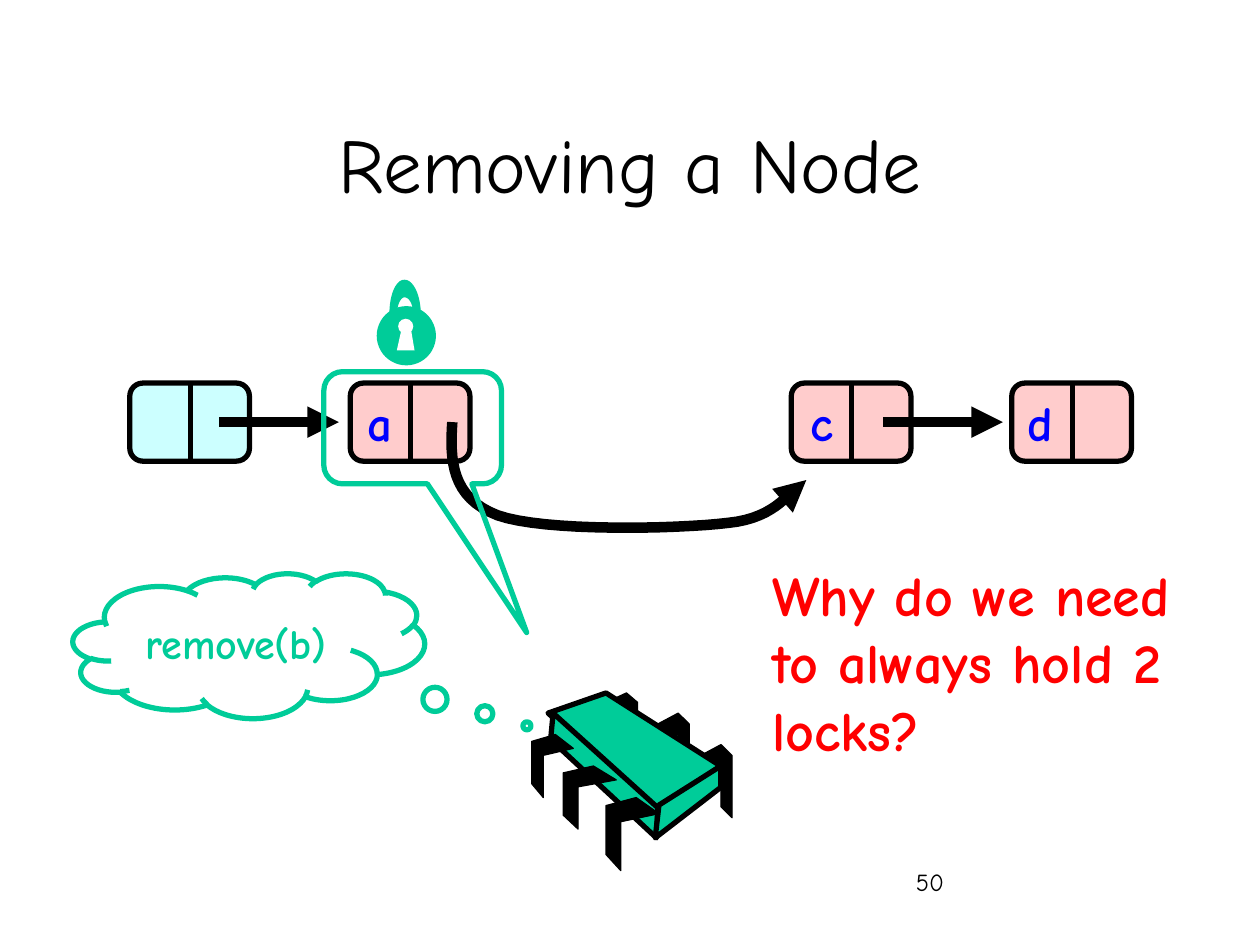
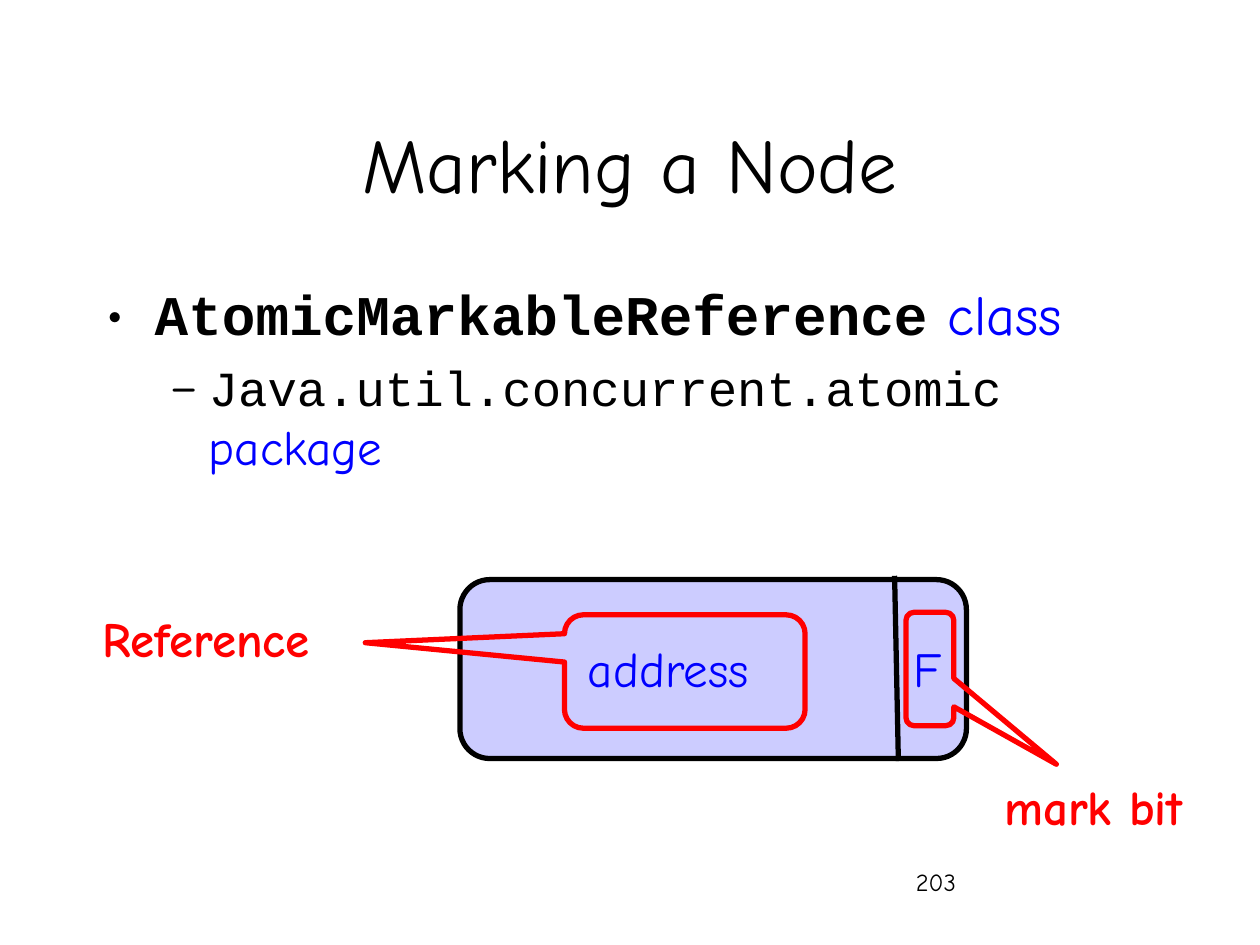
import dataclasses

import pptx
import pptx.dml.color
import pptx.enum.shapes
import pptx.enum.text
import pptx.oxml.ns
import pptx.oxml.xmlchemy
import pptx.util

EMU_PER_PX = 9144
TITLE_ONLY = 5
SHAPES = pptx.enum.shapes.MSO_SHAPE
ALIGN = pptx.enum.text.PP_ALIGN
ANCHOR = pptx.enum.text.MSO_ANCHOR


@dataclasses.dataclass(frozen=True)
class Theme:
    font: str = "Comic Neue"
    code_font: str = "Courier New"
    black: str = "000000"
    white: str = "FFFFFF"
    blue: str = "0000FF"
    red: str = "FF0000"
    green: str = "00CC99"
    head_fill: str = "CCFFFF"
    node_fill: str = "FFCCCC"
    reference_fill: str = "CCCCFF"
    title_size: int = 44
    large_size: int = 32
    label_size: int = 28
    thought_size: int = 24
    number_size: int = 14
    outline: float = 3
    arrow: float = 6
    hairline: float = 0.75


THEME = Theme()

BACK_LEG = [(0, 0.15), (0.65, 0), (1, 0.15), (1, 1), (0.65, 0.85), (0.65, 0.29), (0, 0.43)]
FRONT_LEG = [(0.57, 0), (1, 0.22), (0.28, 0.33), (0.28, 1), (0, 0.78), (0, 0.11)]
BACK_LEG_BOXES = [(556, 591, 25, 58), (522, 566, 25, 58), (481, 550, 25, 50)]
FRONT_LEG_BOXES = [(481, 633, 42, 58), (447, 608, 42, 50), (422, 583, 33, 50)]
CHIP_FACES = [
    [(481, 550), (572, 608), (521, 643), (435, 566)],
    [(439, 566), (522, 641), (521, 665), (437, 587)],
    [(572, 608), (572, 625), (520, 665), (523, 639)],
]


def px(*lengths):
    return [pptx.util.Emu(round(length * EMU_PER_PX)) for length in lengths]


def rgb(code):
    return pptx.dml.color.RGBColor.from_string(code)


def set_format(target, **values):
    for name, value in values.items():
        setattr(target, name, value)


def new_element(tag, **attributes):
    element = pptx.oxml.xmlchemy.OxmlElement(tag)
    for name, value in attributes.items():
        element.set(name, value)
    return element


def paint(shape, fill=None, line=None, width=THEME.outline):
    shape.shadow.inherit = False
    if fill:
        shape.fill.solid()
        shape.fill.fore_color.rgb = rgb(fill)
    else:
        shape.fill.background()
    if line:
        set_line(shape, line, width)
    else:
        shape.line.fill.background()


def set_line(shape, color, width, arrow=False):
    shape.line.color.rgb = rgb(color)
    shape.line.width = pptx.util.Pt(width)
    if arrow:
        outline = shape._element.spPr.find(pptx.oxml.ns.qn("a:ln"))
        outline.append(new_element("a:tailEnd", type="triangle"))


def add_run(paragraph, text, size, color, name=THEME.font, bold=False):
    run = paragraph.add_run()
    run.text = text
    set_format(run.font, name=name, size=pptx.util.Pt(size), bold=bold)
    run.font.color.rgb = rgb(color)


def write(text_frame, lines, size, color, align=ALIGN.LEFT, bold=False):
    text_frame.word_wrap = True
    for index, line in enumerate(lines):
        paragraph = text_frame.add_paragraph() if index else text_frame.paragraphs[0]
        paragraph.alignment = align
        add_run(paragraph, line, size, color, bold=bold)


def add_label(shapes, box, lines, size, color, **format_values):
    label = shapes.add_textbox(*px(*box))
    write(label.text_frame, lines, size, color, **format_values)


def add_preset(shapes, kind, box, adjustments=(), **paint_values):
    shape = shapes.add_shape(kind, *px(*box))
    for index, value in enumerate(adjustments):
        shape.adjustments[index] = value
    paint(shape, **paint_values)
    return shape


def add_callout(shapes, box, tip, color):
    add_preset(shapes, SHAPES.ROUNDED_RECTANGULAR_CALLOUT, box, (*tip, 0.167), line=color)


def add_line(shapes, start, end, width=THEME.outline, arrow=False):
    kind = pptx.enum.shapes.MSO_CONNECTOR.STRAIGHT
    connector = shapes.add_connector(kind, *px(*start, *end))
    set_line(connector, THEME.black, width, arrow)
    connector._element.spPr.append(new_element("a:effectLst"))


def add_outline(shapes, points, close=True, **paint_values):
    start, *others = [px(*point) for point in points]
    builder = shapes.build_freeform(*start, scale=1.0)
    builder.add_line_segments(others, close=close)
    shape = builder.convert_to_shape()
    paint(shape, **paint_values)
    return shape


def curve(start, *segments, steps=16):
    points = [start]
    for first, second, end in segments:
        corners = list(zip(points[-1], first, second, end))
        for step in range(1, steps + 1):
            t = step / steps
            weights = ((1 - t) ** 3, 3 * t * (1 - t) ** 2, 3 * t ** 2 * (1 - t), t ** 3)
            points.append(tuple(sum(w * c for w, c in zip(weights, axis)) for axis in corners))
    return points


def add_node(slide, left, fill, name=None):
    shapes = slide.shapes.add_group_shape().shapes
    add_preset(shapes, SHAPES.ROUNDED_RECTANGLE, (left, 304, 95, 62), (0.167,),
               fill=fill, line=THEME.black)
    add_line(shapes, (left + 48, 303), (left + 48, 367))
    if name:
        add_label(shapes, (left, 307, 43, 57), [name], THEME.label_size, THEME.blue,
                  align=ALIGN.RIGHT, bold=True)


def add_legs(shapes, profile, boxes):
    for left, top, width, height in boxes:
        points = [(left + x * width, top + y * height) for x, y in profile]
        add_outline(shapes, points, fill=THEME.black, line=THEME.black, width=THEME.hairline)


def add_chip(slide):
    shapes = slide.shapes.add_group_shape().shapes
    add_legs(shapes, BACK_LEG, BACK_LEG_BOXES)
    for face in CHIP_FACES:
        add_outline(shapes, face, fill=THEME.green, line=THEME.black)
    add_legs(shapes, FRONT_LEG, FRONT_LEG_BOXES)


def add_padlock(slide):
    shapes = slide.shapes.add_group_shape().shapes
    add_preset(shapes, SHAPES.OVAL, (299, 243, 47, 47), fill=THEME.green)
    add_preset(shapes, SHAPES.OVAL, (316, 253, 12, 12), fill=THEME.white)
    add_outline(shapes, [(315, 278), (319, 260), (326, 260), (329, 278)], fill=THEME.white)
    inner = curve((315, 250), ((315, 242), (318, 236), (321, 236)),
                  ((325, 236), (328, 242), (328, 250)))
    outer = curve((334, 250), ((334, 234), (328, 222), (321, 222)),
                  ((314, 222), (309, 234), (309, 250)))
    add_outline(shapes, inner + outer, fill=THEME.green)


def add_bullet(paragraph, symbol, left, hanging):
    properties = paragraph._p.get_or_add_pPr()
    for name, value in (("marL", left), ("indent", -hanging)):
        properties.set(name, str(px(value)[0]))
    properties.append(new_element("a:buFont", typeface=THEME.font))
    properties.append(new_element("a:buChar", char=symbol))


def add_titled_slide(presentation, title, number):
    slide = presentation.slides.add_slide(presentation.slide_layouts[TITLE_ONLY])
    placeholder = slide.shapes.title
    left, top, width, height = px(75, 67, 850, 125)
    set_format(placeholder, left=left, top=top, width=width, height=height)
    placeholder.text_frame.vertical_anchor = ANCHOR.MIDDLE
    write(placeholder.text_frame, [title], THEME.title_size, THEME.black, align=ALIGN.CENTER)
    add_label(slide.shapes, (717, 683, 208, 50), [number], THEME.number_size, THEME.black)
    return slide


def build_removing_slide(presentation):
    slide = add_titled_slide(presentation, "Removing a Node", "50")
    shapes = slide.shapes
    add_node(slide, 103, THEME.head_fill)
    for left, name in ((278, "a"), (628, "c"), (803, "d")):
        add_node(slide, left, THEME.node_fill, name)
    for left in (174, 701):
        add_line(shapes, (left, 335), (left + 95, 335), THEME.arrow, arrow=True)
    bypass = curve((359, 335), ((357, 365), (358, 395), (395, 409)),
                   ((431, 422), (537, 420), (578, 415)), ((618, 411), (627, 388), (640, 381)))
    bypass_arrow = add_outline(shapes, bypass, close=False)
    set_line(bypass_arrow, THEME.black, THEME.arrow, arrow=True)
    add_chip(slide)
    add_callout(shapes, (257, 295, 141, 89), (0.642, 1.826), THEME.green)
    thought = add_preset(shapes, SHAPES.CLOUD_CALLOUT, (58, 455, 279, 115), (0.791, 0.553),
                         line=THEME.green)
    thought.text_frame.vertical_anchor = ANCHOR.MIDDLE
    write(thought.text_frame, ["remove(b)"], THEME.thought_size, THEME.green,
          align=ALIGN.CENTER, bold=True)
    add_padlock(slide)
    add_label(shapes, (603, 440, 401, 172), ["Why do we need", "to always hold 2", "locks?"],
              THEME.large_size, THEME.red, bold=True)


def add_class_bullets(slide):
    text_frame = slide.shapes.add_textbox(*px(75, 217, 850, 450)).text_frame
    text_frame.word_wrap = True
    heading = text_frame.paragraphs[0]
    add_bullet(heading, "•", 38, 38)
    add_run(heading, "AtomicMarkableReference", THEME.large_size, THEME.black,
            THEME.code_font, bold=True)
    add_run(heading, " class", THEME.large_size, THEME.blue)
    detail = text_frame.add_paragraph()
    add_bullet(detail, "–", 81, 31)
    set_format(detail, level=1, space_before=pptx.util.Pt(6))
    add_run(detail, "Java.util.concurrent.atomic", THEME.label_size, THEME.black,
            THEME.code_font)
    add_run(detail, " package", THEME.label_size, THEME.blue)


def build_marking_slide(presentation):
    slide = add_titled_slide(presentation, "Marking a Node", "203")
    shapes = slide.shapes
    add_class_bullets(slide)
    add_preset(shapes, SHAPES.ROUNDED_RECTANGLE, (365, 460, 402, 142), (0.167,),
               fill=THEME.reference_fill, line=THEME.black)
    add_line(shapes, (710, 457), (713, 604))
    for left, field in ((414, "address"), (620, "F")):
        add_label(shapes, (left, 502, 233, 57), [field], THEME.label_size, THEME.blue,
                  align=ALIGN.CENTER)
    add_callout(shapes, (719, 486, 38, 90), (2.643, 0.84), THEME.red)
    add_callout(shapes, (448, 488, 191, 90), (-1.328, -0.254), THEME.red)
    for box, name in (((768, 611, 200, 57), "mark bit"), ((36, 478, 255, 57), "Reference")):
        add_label(shapes, box, [name], THEME.label_size, THEME.red,
                  align=ALIGN.CENTER, bold=True)


def main():
    presentation = pptx.Presentation()
    width, height = px(1000, 750)
    set_format(presentation, slide_width=width, slide_height=height)
    build_removing_slide(presentation)
    build_marking_slide(presentation)
    presentation.save("out.pptx")


if __name__ == "__main__":
    main()
